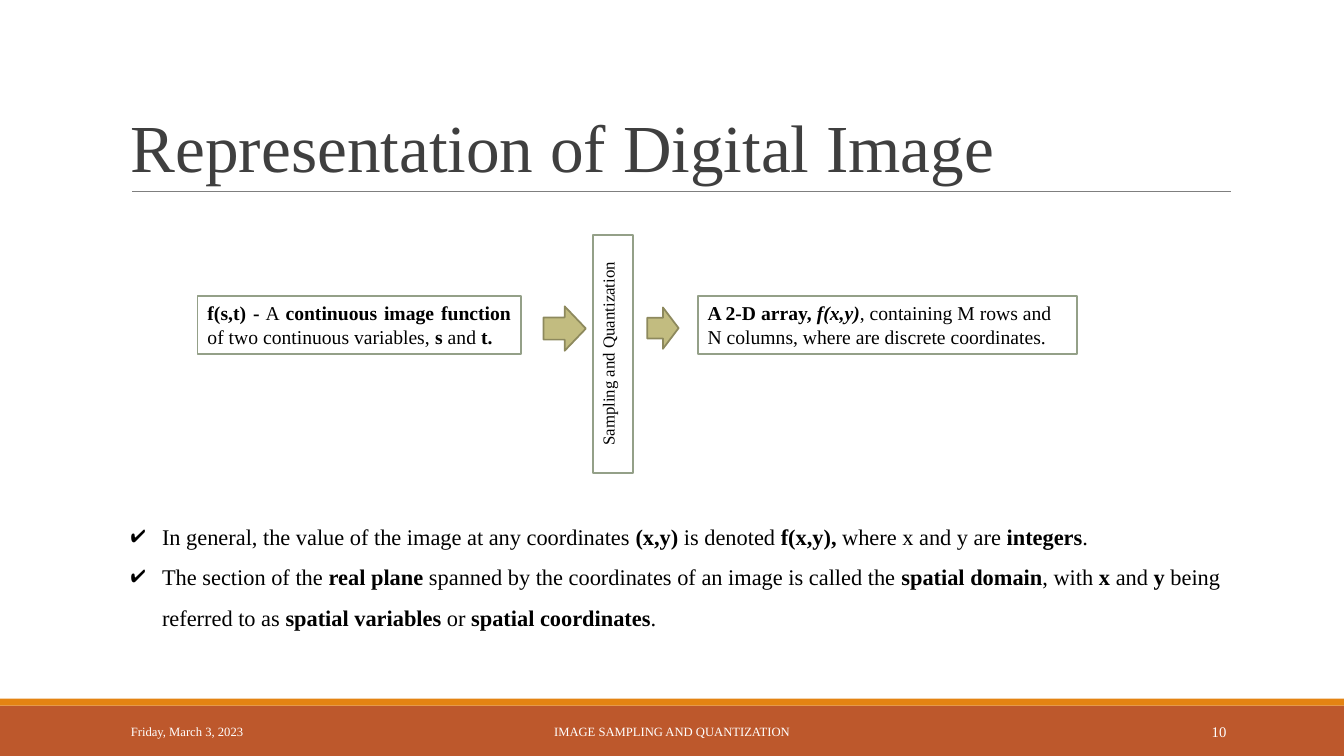
"""Draw a slide on how a digital image is represented."""
from dataclasses import dataclass

from lxml.etree import SubElement
from pptx import Presentation
from pptx.dml.color import RGBColor as Rgb
from pptx.enum.shapes import MSO_CONNECTOR as Link, MSO_SHAPE as Kind
from pptx.enum.text import MSO_ANCHOR as Anchor, PP_ALIGN as Align
from pptx.oxml.ns import qn
from pptx.shapes.autoshape import Shape
from pptx.slide import Slide
from pptx.util import Inches, Pt

WIDE, HIGH = Inches(13.33), Inches(7.5)
FONT = "Times New Roman"
INK = {
    "rust": "BD582C", "gold": "E48312", "rule": "7F7F7F", "title": "3F3F3F",
    "white": "FFFFFF", "black": "000000", "sage": "94A088",
    "khaki": "C2BC80", "olive": "8D895D",
}
FRAME = {
    "word_wrap": True,
    "margin_left": Inches(0.1), "margin_right": Inches(0.1),
    "margin_top": Inches(0.05), "margin_bottom": Inches(0.05),
}


@dataclass
class Area:
    """A rectangle in percent of the slide's width and height."""
    left: float
    top: float
    wide: float
    high: float

    def span(self) -> tuple[int, int, int, int]:
        """Return left, top, width and height in slide units."""
        return (across(self.left), down(self.top),
                across(self.wide), down(self.high))


@dataclass
class Block:
    """A filled shape."""
    area: Area
    fill: str
    line: str = ""
    kind: Kind = Kind.RECTANGLE
    turn: int = 0


@dataclass
class Copy:
    """Text in which * switches bold and ~ switches italic."""
    lines: tuple[str, ...]
    size: float
    color: str = "black"
    align: Align = Align.LEFT
    anchor: Anchor = Anchor.TOP
    space: float = 1.0
    mark: str = ""


def across(share: float) -> int:
    """Turn a percentage of the width into slide units."""
    return round(WIDE * share / 100)


def down(share: float) -> int:
    """Turn a percentage of the height into slide units."""
    return round(HIGH * share / 100)


def tint(name: str) -> Rgb:
    """Look up a named colour."""
    return Rgb.from_string(INK[name])


def draw(slide: Slide, block: Block) -> Shape:
    """Add a filled shape with an optional outline."""
    shape = slide.shapes.add_shape(block.kind, *block.area.span())
    shape.shadow.inherit = False
    shape.rotation = block.turn
    shape.fill.solid()
    shape.fill.fore_color.rgb = tint(block.fill)
    if block.line:
        shape.line.color.rgb = tint(block.line)
        shape.line.width = Pt(1.25)
    else:
        shape.line.fill.background()
    return shape


def write(shape: Shape, copy: Copy) -> None:
    """Fill a shape with formatted paragraphs."""
    frame = shape.text_frame
    for name, value in (FRAME | {"vertical_anchor": copy.anchor}).items():
        setattr(frame, name, value)
    for row, line in enumerate(copy.lines):
        para = frame.add_paragraph() if row else frame.paragraphs[0]
        para.alignment, para.line_spacing = copy.align, copy.space
        if copy.mark:
            bullet(para.font, para._p.get_or_add_pPr(), copy)
        for bold, part in enumerate(line.split("*")):
            for slant, text in enumerate(part.split("~")):
                if not text:
                    continue
                run = para.add_run()
                run.text = text
                run.font.color.rgb = tint(copy.color)
                look = {"name": FONT, "size": Pt(copy.size),
                        "bold": bold % 2 == 1, "italic": slant % 2 == 1}
                for name, value in look.items():
                    setattr(run.font, name, value)


def bullet(font, props, copy: Copy) -> None:
    """Give a paragraph a hanging bullet."""
    font.size = Pt(copy.size)
    hang = Inches(0.31)
    props.set("marL", str(hang))
    props.set("indent", str(-hang))
    color = SubElement(props, qn("a:buClr"))
    SubElement(color, qn("a:srgbClr"), val=INK[copy.color])
    SubElement(props, qn("a:buChar"), char=copy.mark)
    props.append(props.find(qn("a:defRPr")))


def rule(slide: Slide, left: float, right: float, top: float) -> None:
    """Add the thin line below the title."""
    line = slide.shapes.add_connector(
        Link.STRAIGHT, across(left), down(top), across(right), down(top))
    line.line.color.rgb = tint("rule")
    line.line.width = Pt(0.75)
    SubElement(line._element.spPr, qn("a:effectLst"))


BANDS = (
    Block(Area(0, 93.33, 100, 6.67), "rust"),
    Block(Area(0, 92.4, 100, 0.93), "gold"),
)
BOXES = (
    (Block(Area(14.7, 39.2, 24.08, 7.6), "white", "sage"),
     Copy(("*f(s,t) -* A *continuous image function* of two continuous "
           "variables, *s* and *t.*",), 14, align=Align.JUSTIFY)),
    (Block(Area(36.76, 44.13, 17.7, 5.33), "white", "sage", turn=270),
     Copy(("Sampling and Quantization",), 12, align=Align.CENTER)),
    (Block(Area(51.91, 39.2, 28.21, 7.6), "white", "sage"),
     Copy(("*A 2-D array, ~f(x,y)~*, containing M rows and N columns, "
           "where are discrete coordinates.",), 14)),
)
ARROWS = (Area(40.44, 40.53, 3.15, 5.87), Area(48.16, 40.67, 2.33, 5.47))
POINTS = (
    "In general, the value of the image at any coordinates *(x,y)* is "
    "denoted *f(x,y),* where x and y are *integers*.",
    "The section of the *real plane* spanned by the coordinates of an image "
    "is called the *spatial domain*, with *x* and *y* being referred to as "
    "*spatial variables* or *spatial coordinates*.",
)
FOOT = (
    (9, 20.26, "Friday, March 3, 2023", 9, Align.LEFT),
    (30.23, 39.53, "IMAGE SAMPLING AND QUANTIZATION", 9, Align.CENTER),
    (81.25, 10.73, "10", 10.5, Align.RIGHT),
)
TEXTS = (
    (Area(9, 4.13, 82.52, 21.2),
     Copy(("Representation of Digital Image",), 48, "title",
          anchor=Anchor.BOTTOM, space=0.85)),
    (Area(9, 66.8, 82.52, 16.8),
     Copy(POINTS, 16, align=Align.JUSTIFY, space=1.5, mark="✔")),
    *((Area(left, 94.13, wide, 5.33),
       Copy((text,), size, "white", align, Anchor.MIDDLE))
      for left, wide, text, size, align in FOOT),
)


def main() -> None:
    """Build and save the slide."""
    deck = Presentation()
    deck.slide_width, deck.slide_height = WIDE, HIGH
    slide = deck.slides.add_slide(deck.slide_layouts[6])
    for band in BANDS:
        draw(slide, band)
    rule(slide, 9.83, 91.6, 25.33)
    for block, copy in BOXES:
        write(draw(slide, block), copy)
    for area in ARROWS:
        draw(slide, Block(area, "khaki", "olive", Kind.RIGHT_ARROW))
    for area, copy in TEXTS:
        write(slide.shapes.add_textbox(*area.span()), copy)
    deck.save("out.pptx")


if __name__ == "__main__":
    main()
